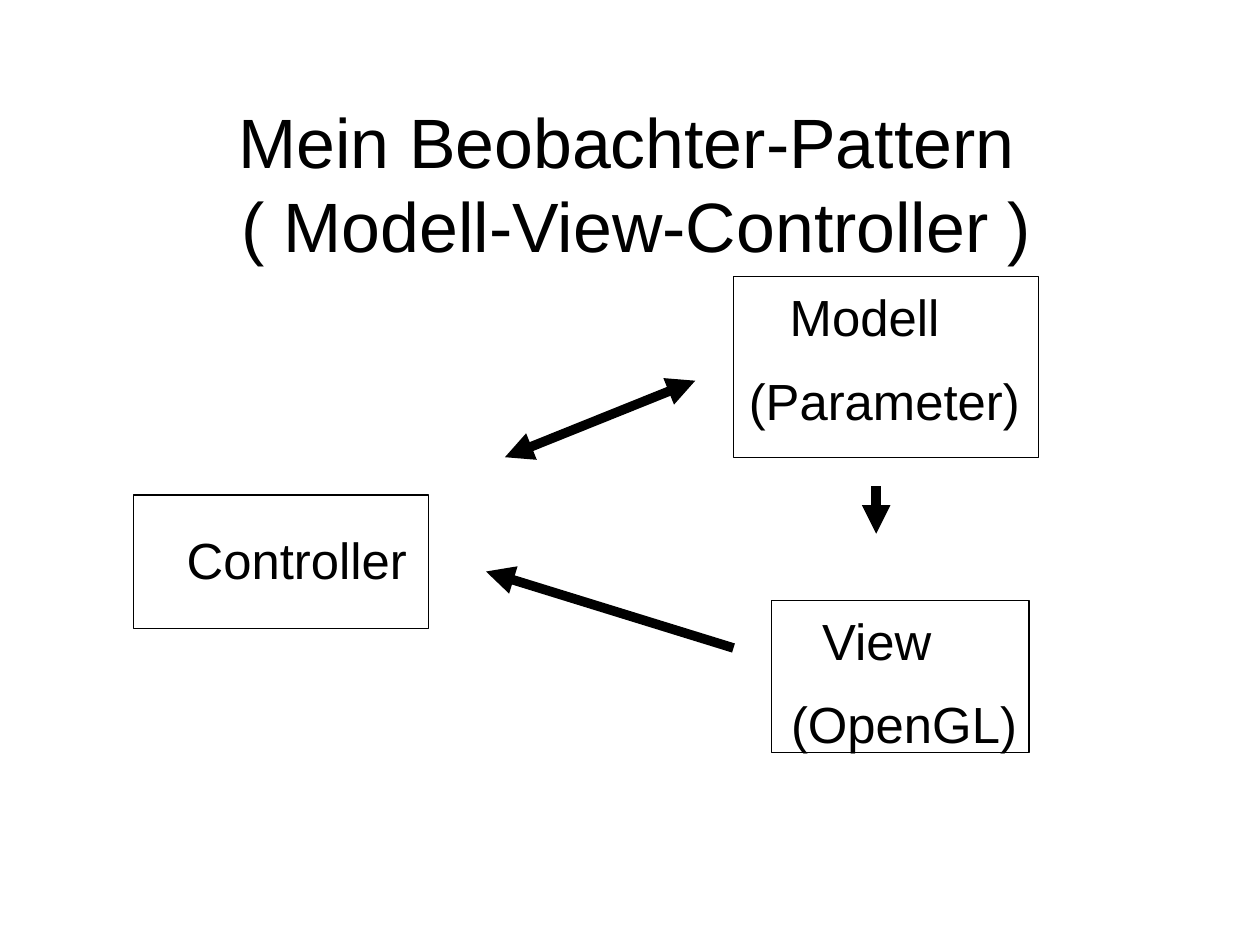
from dataclasses import dataclass

from lxml.etree import SubElement
from pptx import Presentation
from pptx.dml.color import RGBColor
from pptx.enum.shapes import MSO_CONNECTOR, MSO_SHAPE
from pptx.enum.text import MSO_ANCHOR, PP_ALIGN
from pptx.oxml.ns import qn
from pptx.slide import Slide
from pptx.text.text import TextFrame
from pptx.util import Cm, Pt

BLACK = RGBColor(0x00, 0x00, 0x00)
FONT = "Arial"
TITLE = "Mein Beobachter-Pattern \v( Modell-View-Controller )"


@dataclass(frozen=True)
class Label:
    text: str
    indent: float


@dataclass(frozen=True)
class Component:
    left: float
    top: float
    width: float
    height: float
    text_offset: float
    labels: tuple[Label, ...]


@dataclass(frozen=True)
class Arrow:
    start: tuple[float, float]
    end: tuple[float, float]
    two_way: bool = False


COMPONENTS = (
    Component(2.97, 11, 6.55, 2.97, 0.76, (Label("Controller", 1.18),)),
    Component(16.3, 6.15, 6.78, 4.02, 0.2,
              (Label("Modell", 1.25), Label("(Parameter)", 0.34))),
    Component(17.15, 13.34, 5.72, 3.38, 0.2,
              (Label("View", 1.12), Label("(OpenGL)", 0.43))),
)
ARROWS = (
    Arrow((11.22, 10.16), (15.45, 8.46), two_way=True),
    Arrow((16.3, 14.4), (10.8, 12.7)),
    Arrow((19.47, 10.8), (19.47, 11.86)),
)


def prepare_frame(frame: TextFrame, text: str, anchor: MSO_ANCHOR) -> None:
    frame.margin_left = frame.margin_right = 0
    frame.margin_top = frame.margin_bottom = 0
    frame.word_wrap = True
    frame.vertical_anchor = anchor
    frame.text = text


def format_paragraphs(frame: TextFrame, size: int, alignment: PP_ALIGN) -> None:
    for paragraph in frame.paragraphs:
        paragraph.alignment = alignment
        for run in paragraph.runs:
            run.font.name = FONT
            run.font.size = Pt(size)
            run.font.color.rgb = BLACK


def add_title(slide: Slide) -> None:
    box = slide.shapes.add_textbox(Cm(2.06), Cm(1.75), Cm(24.18), Cm(4.6))
    prepare_frame(box.text_frame, TITLE, MSO_ANCHOR.MIDDLE)
    format_paragraphs(box.text_frame, 44, PP_ALIGN.CENTER)


def add_component(slide: Slide, component: Component) -> None:
    shape = slide.shapes.add_shape(
        MSO_SHAPE.RECTANGLE, Cm(component.left), Cm(component.top),
        Cm(component.width), Cm(component.height))
    shape.shadow.inherit = False
    shape.fill.background()
    shape.line.color.rgb = BLACK
    shape.line.width = Pt(0.75)
    frame = shape.text_frame
    text = "\n".join(label.text for label in component.labels)
    prepare_frame(frame, text, MSO_ANCHOR.TOP)
    frame.margin_top = Cm(component.text_offset)
    format_paragraphs(frame, 32, PP_ALIGN.LEFT)
    for paragraph, label in zip(frame.paragraphs, component.labels):
        paragraph.space_after = Pt(14.2)
        properties = paragraph._p.get_or_add_pPr()
        properties.set("marL", str(Cm(label.indent)))


def add_arrow(slide: Slide, arrow: Arrow) -> None:
    points = [Cm(value) for value in arrow.start + arrow.end]
    connector = slide.shapes.add_connector(MSO_CONNECTOR.STRAIGHT, *points)
    connector.line.color.rgb = BLACK
    connector.line.width = Pt(6)
    line = connector.line._get_or_add_ln()
    if arrow.two_way:
        SubElement(line, qn("a:headEnd"), type="triangle")
    SubElement(line, qn("a:tailEnd"), type="triangle")
    SubElement(connector._element.spPr, qn("a:effectLst"))


def main() -> None:
    presentation = Presentation()
    presentation.slide_width = Cm(28)
    presentation.slide_height = Cm(21)
    slide = presentation.slides.add_slide(presentation.slide_layouts[6])
    add_title(slide)
    for component in COMPONENTS:
        add_component(slide, component)
    for arrow in ARROWS:
        add_arrow(slide, arrow)
    presentation.save("out.pptx")


if __name__ == "__main__":
    main()
